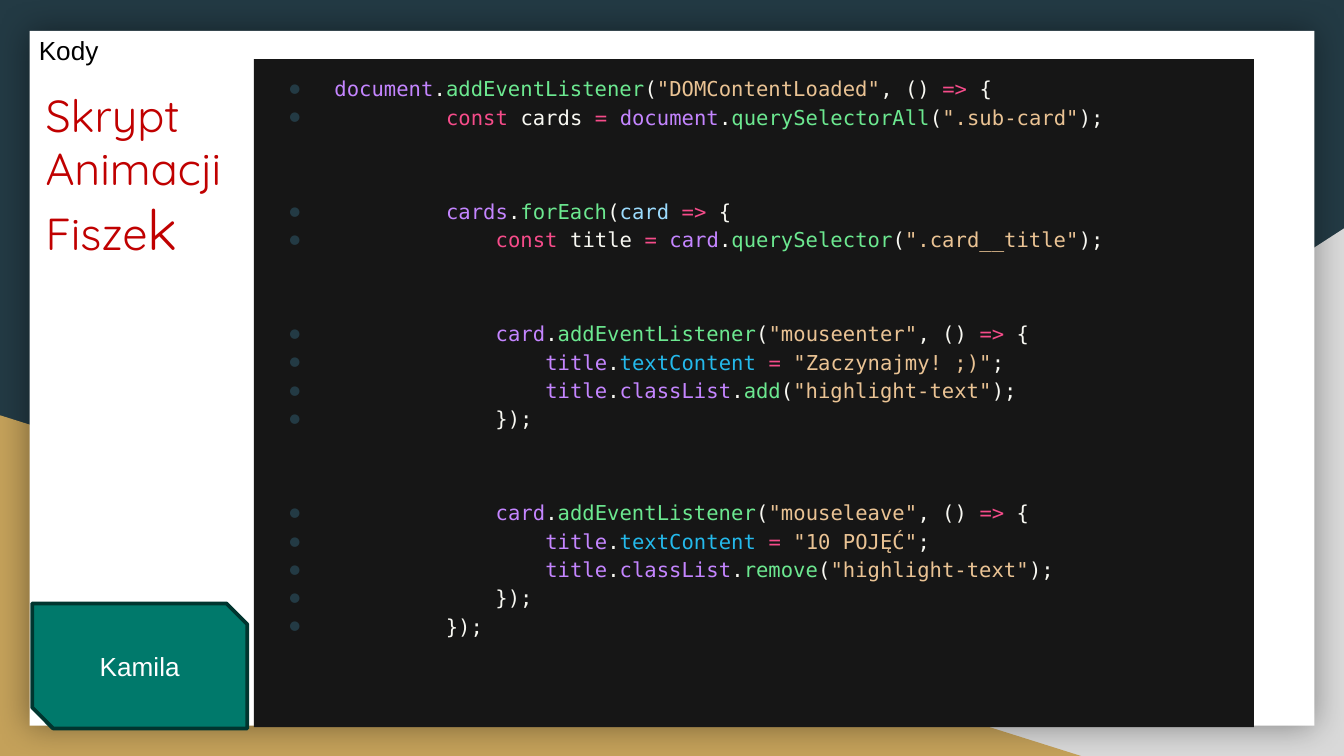
from lxml.etree import SubElement
from pptx import Presentation
from pptx.dml.color import RGBColor
from pptx.enum.shapes import MSO_SHAPE
from pptx.enum.text import MSO_ANCHOR, PP_ALIGN
from pptx.oxml.ns import qn
from pptx.util import Inches, Pt

COLORS = {
    "night": "233A44", "grey": "D9D9D9", "gold": "C4A15A", "white": "FFFFFF",
    "black": "000000", "red": "C00000", "teal": "00796B", "dark teal": "00352F",
    "editor": "161616",
    # Syntax colours
    "object": "C485FF", "plain": "F8F8F2", "method": "6CE890", "string": "EAC394",
    "keyword": "F64C8A", "parameter": "9CDCFE", "property": "24B9EB",
}


def add_panel(preset, left, top, width, height, fill):
    panel = slide.shapes.add_shape(
        preset, Inches(left), Inches(top), Inches(width), Inches(height))
    panel.shadow.inherit = False
    panel.fill.solid()
    panel.fill.fore_color.rgb = RGBColor.from_string(COLORS[fill])
    panel.line.fill.background()
    return panel


def add_run(paragraph, text, size, font, color):
    run = paragraph.add_run()
    run.text = text
    run.font.size = Pt(size)
    run.font.name = font
    run.font.color.rgb = RGBColor.from_string(COLORS[color])


prs = Presentation()
prs.slide_width = Inches(10)
prs.slide_height = Inches(10 * 9 / 16)
slide = prs.slides.add_slide(prs.slide_layouts[6])
slide.background.fill.solid()
slide.background.fill.fore_color.rgb = RGBColor.from_string(COLORS["night"])

# Backdrop
grey_corner = add_panel(MSO_SHAPE.RIGHT_TRIANGLE, 3.92, 1.7, 6.08, 3.93, "grey")
grey_corner._element.spPr.find(qn("a:xfrm")).set("flipH", "1")
add_panel(MSO_SHAPE.RIGHT_TRIANGLE, 0, 3.09, 8.06, 2.54, "gold")
page = add_panel(MSO_SHAPE.RECTANGLE, 0.22, 0.23, 9.56, 5.17, "white")
glow = SubElement(page._element.spPr.find(qn("a:effectLst")), qn("a:outerShdw"),
                  blurRad=str(Pt(18)), dist="0", dir="0", algn="ctr", rotWithShape="0")
glow_color = SubElement(glow, qn("a:srgbClr"), val=COLORS["black"])
SubElement(glow_color, qn("a:alpha"), val="40000")

# Title
title = slide.shapes.add_textbox(
    Inches(0.24), Inches(0.55), Inches(1.61), Inches(3.87)).text_frame
title.word_wrap = True
title.margin_left = title.margin_right = Inches(0.1)
title.margin_top = title.margin_bottom = Inches(0.1)
add_run(title.paragraphs[0], "Skrypt Animacji Fisze", 24, "Quicksand", "red")
add_run(title.paragraphs[0], "k", 30, "Quicksand", "red")

# Code: each line is (starts a block, indent in columns, [(syntax kind, text), ...])
DOT, OPEN, CLOSE = ("plain", "."), ("plain", "("), ("plain", ");")
CONST, EQUALS = ("keyword", "const "), ("keyword", "= ")
ARROW = [("keyword", "=>"), ("plain", " {")]
END = [("plain", "});")]

code_lines = [
    (False, 0, [("object", "document"), DOT, ("method", "addEventListener"), OPEN,
                ("string", '"DOMContentLoaded"'), ("plain", ", () "), *ARROW]),
    (False, 9, [CONST, ("plain", "cards "), EQUALS, ("object", "document"), DOT,
                ("method", "querySelectorAll"), OPEN, ("string", '".sub-card"'), CLOSE]),
    (True, 9, [("object", "cards"), DOT, ("method", "forEach"), OPEN,
               ("parameter", "card "), *ARROW]),
    (False, 13, [CONST, ("plain", "title "), EQUALS, ("object", "card"), DOT,
                 ("method", "querySelector"), OPEN, ("string", '".card__title"'), CLOSE]),
]
for event, caption, action in [
    ('"mouseenter"', '"Zaczynajmy! ;)"', "add"),
    ('"mouseleave"', '"10 POJĘĆ"', "remove"),
]:
    code_lines += [
        (True, 13, [("object", "card"), DOT, ("method", "addEventListener"), OPEN,
                    ("string", event), ("plain", ", () "), *ARROW]),
        (False, 17, [("object", "title"), DOT, ("property", "textContent "), EQUALS,
                     ("string", caption), ("plain", ";")]),
        (False, 17, [("object", "title"), DOT, ("object", "classList"), DOT,
                     ("method", action), OPEN, ("string", '"highlight-text"'), CLOSE]),
        (False, 13, END),
    ]
code_lines.append((False, 9, END))

editor = add_panel(MSO_SHAPE.RECTANGLE, 1.89, 0.44, 7.44, 4.97, "editor").text_frame
editor.word_wrap = True
editor.vertical_anchor = MSO_ANCHOR.TOP
editor.margin_left = editor.margin_right = Inches(0.1)
editor.margin_top = editor.margin_bottom = Inches(0.1)
for number, (starts_block, indent, tokens) in enumerate(code_lines):
    line = editor.add_paragraph() if number else editor.paragraphs[0]
    props = line._p.get_or_add_pPr()
    props.set("marL", str(Inches(0.5)))
    props.set("indent", str(Inches(-0.34)))
    bullet_color = SubElement(props, qn("a:buClr"))
    SubElement(bullet_color, qn("a:srgbClr"), val=COLORS["night"])
    SubElement(props, qn("a:buSzPts"), val="1300")
    SubElement(props, qn("a:buFont"), typeface="Calibri")
    SubElement(props, qn("a:buChar"), char="●")
    line.alignment = PP_ALIGN.LEFT
    line.line_spacing = 1.15
    line.space_before = Pt(35.3 if starts_block else 0)
    if indent:
        tokens = [("plain", " " * indent), *tokens]
    for kind, text in tokens:
        add_run(line, text, 11, "DejaVu Sans Mono", kind)

# Section label and author badge
section = slide.shapes.add_textbox(
    Inches(0.19), Inches(0.21), Inches(5.08), Inches(0.34)).text_frame
section.word_wrap = True
add_run(section.paragraphs[0], "Kody", 14, "Arial", "black")

badge = add_panel(MSO_SHAPE.SNIP_2_DIAG_RECTANGLE, 0.24, 4.49, 1.6, 0.93, "teal")
badge.line.color.rgb = RGBColor.from_string(COLORS["dark teal"])
badge.line.width = Pt(2)
badge.text_frame.vertical_anchor = MSO_ANCHOR.MIDDLE
author = badge.text_frame.paragraphs[0]
author.alignment = PP_ALIGN.CENTER
add_run(author, "Kamila", 14, "Arial", "white")

prs.save("out.pptx")
